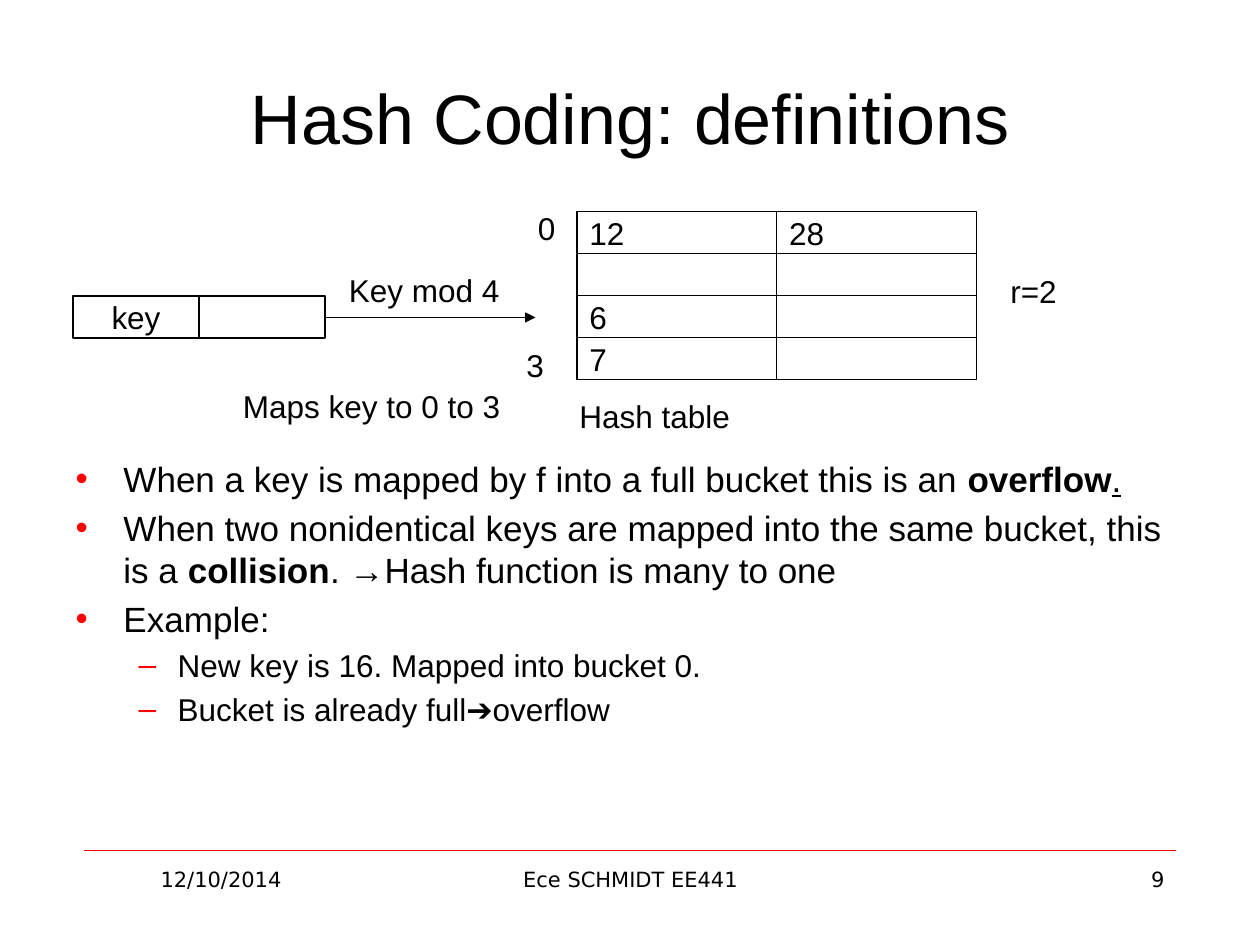
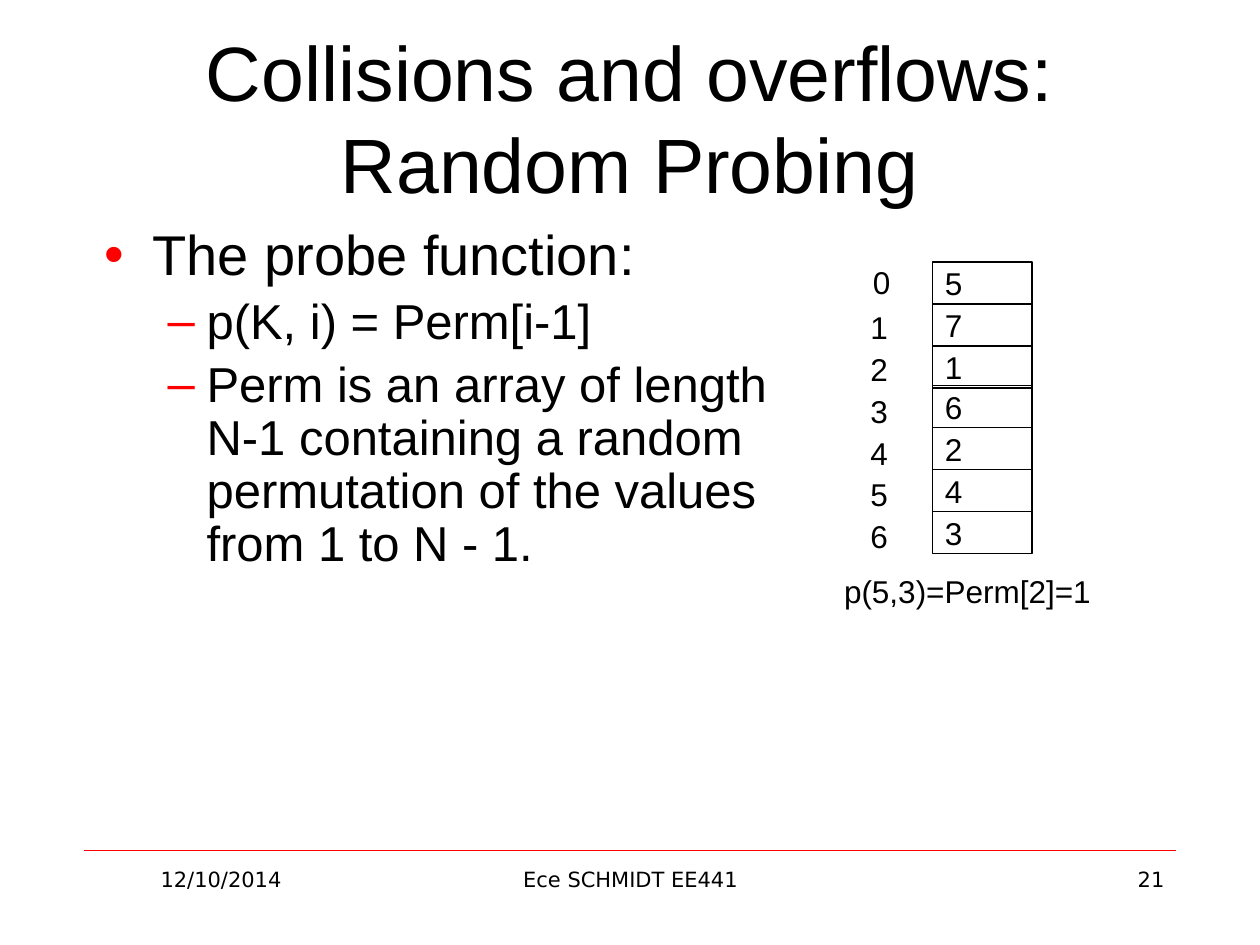
import pptx
import pptx.util
import pptx.dml.color
import pptx.enum.text
import pptx.enum.shapes
import pptx.oxml.ns
import lxml.etree

Inches = pptx.util.Inches
Pt = pptx.util.Pt
Align = pptx.enum.text.PP_ALIGN
Anchor = pptx.enum.text.MSO_ANCHOR
BLACK = pptx.dml.color.RGBColor(0, 0, 0)
RED = pptx.dml.color.RGBColor(255, 0, 0)
FONT, FOOT = "Arial", "DejaVu Sans"
ROW = 1 / 3

FEET = [
    ("12/10/2014", 0.67, 2.17, Align.CENTER),
    ("Ece SCHMIDT EE441", 3.42, 3.17, Align.CENTER),
    (None, 7.17, 2.17, Align.RIGHT),
]
MARKS = [("\u2022", 0.38, -0.38), ("\u2013", 0.81, -0.31)]

HASH = {
    "title": "Hash Coding: definitions", "size": 40, "page": "9",
    "at": (0.5, 3.58, 9, 3.12), "sizes": (20, 18), "lead": 1.0,
    "body": [
        (0, [("When a key is mapped by f into a full bucket this is an ", ""),
             ("overflow", "b"), (".", "u")]),
        (0, [("When two nonidentical keys are mapped into the same bucket, this is a ", ""),
             ("collision", "b"), (". \u2192Hash function is many to one", "")]),
        (0, [("Example:", "")]),
        (1, [("New key is 16. Mapped into bucket 0.", "")]),
        (1, [("Bucket is already full\u2794overflow", "")]),
    ],
}
PROBE = {
    "title": "Collisions and overflows: Random Probing", "size": 44, "page": "21",
    "at": (0.73, 1.75, 6.08, 4.95), "sizes": (32, 28), "lead": 0.9,
    "body": [
        (0, [("The probe function:", "")]),
        (1, [("p(K, i) = Perm[i-1]", "")]),
        (1, [("Perm is an array of length N-1 containing a random "
              "permutation of the values from 1 to N - 1.", "")]),
    ],
}
KEY = ["key", ""]
TABLE = [["12", "", "6", "7"], ["28", "", "", ""]]
NOTES = [
    ("Key mod 4", 2.67, 2.1, 1.58),
    ("0", 4.17, 1.61, 0.58),
    ("3", 4.08, 2.7, 0.67),
    ("Hash table", 4.5, 3.1, 1.67),
    ("Maps key to 0 to 3", 1.83, 3.02, 2.75),
    ("r=2", 7.92, 2.11, 1.58),
]
CELLS = [(2.08, ["5", "7", "1"]), (3.06, ["6", "2", "4", "3"])]
INDEX = [(6.83, 2.07, ["0"]), (6.81, 2.43, ["1", "2", "3", "4"]), (6.81, 3.75, ["5", "6"])]


def write(para, text, size, font=FONT, style=""):
    run = para.add_run()
    run.text = text
    run.font.size = Pt(size)
    run.font.name = font
    run.font.color.rgb = BLACK
    if "b" in style:
        run.font.bold = True
    if "u" in style:
        run.font.underline = True


def place(shape, area):
    shape.left, shape.top, shape.width, shape.height = map(Inches, area)


def label(shapes, text, area, size=18, font=FONT, align=Align.LEFT, middle=False):
    frame = shapes.add_textbox(*map(Inches, area)).text_frame
    frame.word_wrap = not middle
    frame.vertical_anchor = Anchor.MIDDLE if middle else Anchor.TOP
    frame.paragraphs[0].alignment = align
    write(frame.paragraphs[0], text, size, font)


def cell(shapes, text, area, align=Align.LEFT):
    box = shapes.add_shape(pptx.enum.shapes.MSO_SHAPE.RECTANGLE, *map(Inches, area))
    box.shadow.inherit = False
    box.fill.background()
    box.line.color.rgb = BLACK
    box.line.width = Pt(0.75)
    frame = box.text_frame
    frame.word_wrap = False
    frame.vertical_anchor = Anchor.MIDDLE
    frame.paragraphs[0].alignment = align
    if text:
        write(frame.paragraphs[0], text, 18)


def line(shapes, start, end, color, width):
    kind = pptx.enum.shapes.MSO_CONNECTOR.STRAIGHT
    rule = shapes.add_connector(kind, *map(Inches, start + end))
    rule.line.color.rgb = color
    rule.line.width = Pt(width)
    lxml.etree.SubElement(rule.element.spPr, pptx.oxml.ns.qn("a:effectLst"))
    return rule


def mark(para, level):
    char, left, hang = MARKS[level]
    para.level = level
    props = para._p.get_or_add_pPr()
    props.set("marL", str(Inches(left)))
    props.set("indent", str(Inches(hang)))
    qn = pptx.oxml.ns.qn
    tint = lxml.etree.SubElement(props, qn("a:buClr"))
    lxml.etree.SubElement(tint, qn("a:srgbClr")).set("val", str(RED))
    lxml.etree.SubElement(props, qn("a:buFont")).set("typeface", FONT)
    lxml.etree.SubElement(props, qn("a:buChar")).set("char", char)


def start(deck, data):
    slide = deck.slides.add_slide(deck.slide_layouts[1])
    for text, left, width, align in FEET:
        label(slide.shapes, text or data["page"], (left, 6.83, width, 0.52), 12, FOOT, align)
    title = slide.shapes.title
    place(title, (0.5, 0.3, 9, 1.25))
    frame = title.text_frame
    frame.auto_size = pptx.enum.text.MSO_AUTO_SIZE.NONE
    frame.vertical_anchor = Anchor.MIDDLE
    frame.paragraphs[0].alignment = Align.CENTER
    write(frame.paragraphs[0], data["title"], data["size"])
    body = slide.placeholders[1]
    place(body, data["at"])
    frame = body.text_frame
    frame.auto_size = pptx.enum.text.MSO_AUTO_SIZE.NONE
    for n, (level, runs) in enumerate(data["body"]):
        para = frame.add_paragraph() if n else frame.paragraphs[0]
        para.line_spacing = data["lead"]
        mark(para, level)
        for text, style in runs:
            write(para, text, data["sizes"][level], style=style)
    return slide


deck = pptx.Presentation()
deck.slide_width, deck.slide_height = Inches(10), Inches(7.5)

slide = start(deck, HASH)
rule = line(slide.shapes, (0.67, 6.75), (9.33, 6.75), RED, 0.25)
rule.element.nvCxnSpPr.cNvPr.set("id", "99")
deck.slide_master.element.cSld.spTree.append(rule.element)

for n, text in enumerate(KEY):
    cell(slide.shapes, text, (0.58 + n, 2.35, 1, ROW), Align.CENTER)
for col, texts in enumerate(TABLE):
    for row, text in enumerate(texts):
        cell(slide.shapes, text, (4.58 + col * 1.585, 1.68 + row * ROW, 1.585, ROW))
arrow = line(slide.shapes, (2.58, 2.52), (4.25, 2.52), BLACK, 0.75)
tail = lxml.etree.SubElement(arrow.line._get_or_add_ln(), pptx.oxml.ns.qn("a:tailEnd"))
tail.set("type", "triangle")
for text, left, top, width in NOTES:
    label(slide.shapes, text, (left, top, width, 0.4))

slide = start(deck, PROBE)
group = slide.shapes.add_group_shape().shapes
for left, top, texts in INDEX:
    for n, text in enumerate(texts):
        label(group, text, (left, top + n * ROW, 0.5, ROW), middle=True)
for top, texts in CELLS:
    for n, text in enumerate(texts):
        cell(group, text, (7.4, top + n * ROW, 0.79, ROW))
label(slide.shapes, "p(5,3)=Perm[2]=1", (6.6, 4.44, 2.39, 0.5), middle=True)

deck.save("out.pptx")
